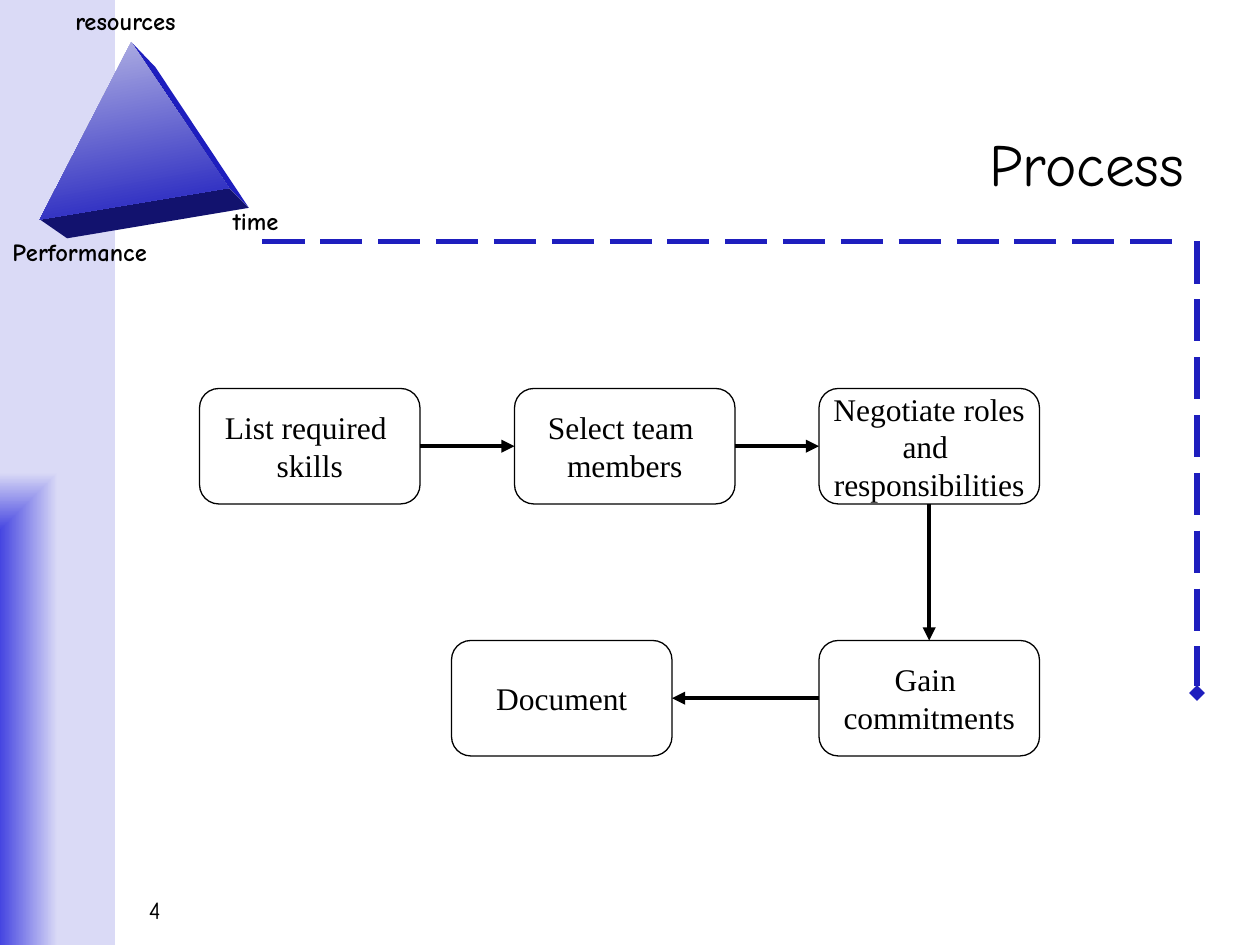
import dataclasses
import typing

import lxml.etree
import pptx
import pptx.dml.color
import pptx.enum.dml
import pptx.enum.shapes
import pptx.enum.text
import pptx.oxml
import pptx.oxml.ns
import pptx.util

SHAPE = pptx.enum.shapes.MSO_SHAPE
ALIGN = pptx.enum.text.PP_ALIGN
ANCHOR = pptx.enum.text.MSO_ANCHOR
TOP, LEFT, BOTTOM, RIGHT = range(4)
CELL = pptx.util.Inches(1) / 12


@dataclasses.dataclass(frozen=True)
class Theme:
    ink: str = "000000"
    navy: str = "1E1EBE"
    dark: str = "12126E"
    pale: str = "B4B4E4"
    glow: str = "4545E1"
    haze: str = "DADAF6"
    head: str = "Comic Neue"
    body: str = "Times New Roman"
    title: int = 34
    step: int = 18
    label: int = 14


class Step(typing.NamedTuple):
    col: float
    row: float
    text: str


class Link(typing.NamedTuple):
    start: int
    out: int
    end: int
    into: int


class Label(typing.NamedTuple):
    col: float
    row: float
    wide: float
    text: str


class Face(typing.NamedTuple):
    points: tuple
    color: str


class Rule(typing.NamedTuple):
    ends: tuple
    tip: str


THEME = Theme()
WIDE, HIGH = 21, 11
STEPS = (
    Step(19, 37, "List required \nskills"),
    Step(49, 37, "Select team \nmembers"),
    Step(78, 37, "Negotiate roles\nand \nresponsibilities"),
    Step(78, 61, "Gain \ncommitments"),
    Step(43, 61, "Document"),
)
LINKS = (
    Link(0, RIGHT, 1, LEFT),
    Link(1, RIGHT, 2, LEFT),
    Link(2, BOTTOM, 3, TOP),
    Link(3, LEFT, 4, RIGHT),
)
LABELS = (
    Label(6, 0, 13.2, "resources"),
    Label(0, 22, 16.5, "Performance"),
    Label(21, 19, 7.3, "time"),
)
PEAK, EDGE, BASE, REAR = (12.5, 4), (21.8, 17.9), (3.8, 20.9), (23.7, 19.8)
FACES = (
    Face((PEAK, (14.8, 6.4), REAR, EDGE), THEME.navy),
    Face((BASE, EDGE, REAR, (6.4, 22.7)), THEME.dark),
    Face((PEAK, EDGE, BASE), ""),
)
RULES = (
    Rule((25, 23, 113, 23), ""),
    Rule((114, 23, 114, 66), "diamond"),
)


def grid(*cells: float) -> list:
    return [round(cell * CELL) for cell in cells]


def tint(hue: str):
    return pptx.dml.color.RGBColor.from_string(hue)


def write(shape, text: str, font: str, size: int, align=ALIGN.LEFT,
          anchor=ANCHOR.TOP, bold: bool = False, wrap: bool = False) -> None:
    frame = shape.text_frame
    frame.text = text
    frame.word_wrap = wrap
    frame.vertical_anchor = anchor
    for para in frame.paragraphs:
        para.alignment = align
        for run in para.runs:
            run.font.name = font
            run.font.size = pptx.util.Pt(size)
            run.font.bold = bold
            run.font.color.rgb = tint(THEME.ink)


def blend(shape, first: str, last: str, angle: float) -> None:
    shape.fill.gradient()
    shape.fill.gradient_angle = angle
    for stop, hue, place in zip(shape.fill.gradient_stops, (first, last), (0, 1)):
        stop.color.rgb = tint(hue)
        stop.position = place


def band(shapes) -> None:
    shape = shapes.add_shape(SHAPE.RECTANGLE, *grid(0, 0, 11, 90))
    shape.shadow.inherit = False
    shape.line.fill.background()
    blend(shape, THEME.glow, THEME.haze, 0)
    line = shape.element.spPr.find(".//" + pptx.oxml.ns.qn("a:lin"))
    route = pptx.oxml.parse_xml(
        '<a:path %s path="rect"><a:fillToRect t="100000" r="100000"/></a:path>'
        % pptx.oxml.ns.nsdecls("a"))
    line.getparent().replace(line, route)


def facet(shapes, face: Face) -> None:
    first, *rest = [grid(*point) for point in face.points]
    form = shapes.build_freeform(*first)
    form.add_line_segments(rest, close=True)
    shape = form.convert_to_shape()
    shape.shadow.inherit = False
    shape.line.fill.background()
    if face.color:
        shape.fill.solid()
        shape.fill.fore_color.rgb = tint(face.color)
    else:
        blend(shape, THEME.pale, THEME.navy, 280)


def stroke(shapes, ends: tuple, hue: str, width: float, tip: str):
    line = shapes.add_connector(
        pptx.enum.shapes.MSO_CONNECTOR.STRAIGHT, *grid(*ends))
    line.line.color.rgb = tint(hue)
    line.line.width = pptx.util.Pt(width)
    props = line.element.spPr
    lxml.etree.SubElement(props, pptx.oxml.ns.qn("a:effectLst"))
    if tip:
        pen = props.find(pptx.oxml.ns.qn("a:ln"))
        lxml.etree.SubElement(pen, pptx.oxml.ns.qn("a:tailEnd"), type=tip)
    return line


def label(shapes, item: Label) -> None:
    box = shapes.add_textbox(*grid(item.col, item.row, item.wide, 4))
    write(box, item.text, THEME.head, THEME.label, bold=True)


def node(shapes, step: Step):
    shape = shapes.add_shape(
        SHAPE.ROUNDED_RECTANGLE, *grid(step.col, step.row, WIDE, HIGH))
    shape.shadow.inherit = False
    shape.fill.background()
    shape.line.color.rgb = tint(THEME.ink)
    shape.line.width = pptx.util.Pt(0.75)
    write(shape, step.text, THEME.body, THEME.step, ALIGN.CENTER, ANCHOR.MIDDLE)
    return shape


def main() -> None:
    deck = pptx.Presentation()
    deck.slide_width, deck.slide_height = grid(120, 90)
    slide = deck.slides.add_slide(deck.slide_layouts[5])
    shapes = slide.shapes
    band(shapes)
    for face in FACES:
        facet(shapes, face)
    for item in LABELS:
        label(shapes, item)
    for rule in RULES:
        line = stroke(shapes, rule.ends, THEME.navy, 3, rule.tip)
        line.line.dash_style = pptx.enum.dml.MSO_LINE.LONG_DASH
    title = shapes.title
    title.left, title.top, title.width, title.height = grid(25, 8, 89, 15)
    write(title, "Process", THEME.head, THEME.title, ALIGN.RIGHT,
          ANCHOR.MIDDLE, wrap=True)
    page = shapes.add_textbox(*grid(13, 82, 77, 6))
    page.text_frame.margin_bottom = 0
    write(page, "4", THEME.head, THEME.label, anchor=ANCHOR.BOTTOM, wrap=True)
    nodes = [node(shapes, step) for step in STEPS]
    for link in LINKS:
        line = stroke(shapes, (0, 0, 0, 0), THEME.ink, 2.5, "triangle")
        line.begin_connect(nodes[link.start], link.out)
        line.end_connect(nodes[link.end], link.into)
    deck.save("out.pptx")


main()
